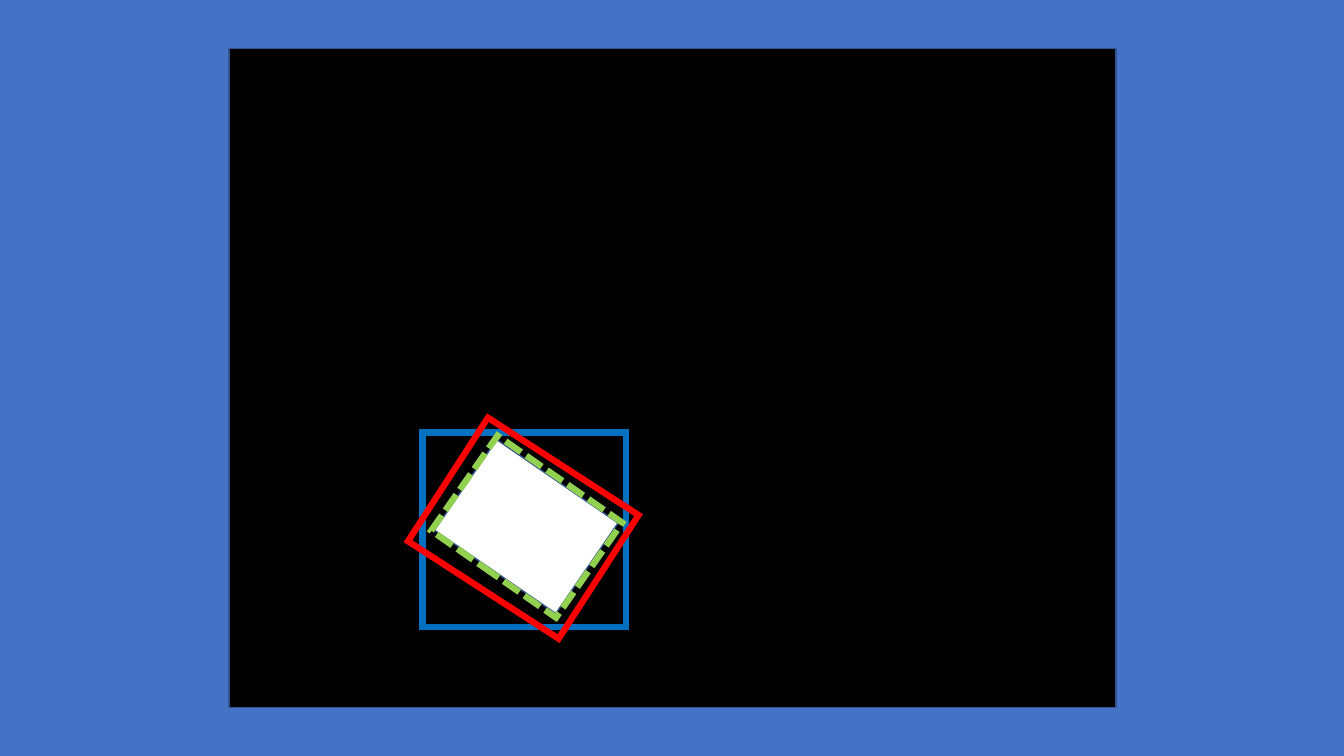
from dataclasses import dataclass

from lxml.etree import SubElement
from pptx import Presentation
from pptx.dml.color import RGBColor
from pptx.enum.dml import MSO_LINE
from pptx.enum.shapes import MSO_SHAPE
from pptx.oxml.ns import qn
from pptx.util import Inches, Pt


@dataclass(frozen=True)
class Theme:
    backdrop: str = "4472C4"
    canvas: str = "000000"
    target: str = "FFFFFF"
    edge: str = "325491"
    upright: str = "0070C0"
    rotated: str = "FF0000"
    fitted: str = "92D050"
    thin: float = 1
    thick: float = 4.5


class SlideBuilder:
    def __init__(self, slide, theme):
        self.slide = slide
        self.theme = theme

    def background(self, color):
        fill = self.slide.background.fill
        fill.solid()
        fill.fore_color.rgb = RGBColor.from_string(color)

    def rectangle(self, left, top, width, height, line, weight,
                  fill=None, rotation=0, dash=None):
        """Draw a sharp-cornered rectangle, hollow when fill is None."""
        lengths = [Inches(value) for value in (left, top, width, height)]
        box = self.slide.shapes.add_shape(MSO_SHAPE.RECTANGLE, *lengths)
        box.shadow.inherit = False
        box.rotation = rotation
        if fill:
            box.fill.solid()
            box.fill.fore_color.rgb = RGBColor.from_string(fill)
        else:
            box.fill.background()
        box.line.color.rgb = RGBColor.from_string(line)
        box.line.width = Pt(weight)
        if dash:
            box.line.dash_style = dash
        SubElement(box.get_or_add_ln(), qn("a:miter"), lim="800000")
        return box

    def filled(self, *bounds, fill, rotation=0):
        return self.rectangle(*bounds, self.theme.edge, self.theme.thin,
                              fill=fill, rotation=rotation)

    def frame(self, *bounds, color, rotation=0, dash=None):
        return self.rectangle(*bounds, color, self.theme.thick,
                              rotation=rotation, dash=dash)


def main():
    theme = Theme()
    deck = Presentation()
    deck.slide_width, deck.slide_height = Inches(13.33), Inches(7.5)
    page = SlideBuilder(deck.slides.add_slide(deck.slide_layouts[6]), theme)

    page.background(theme.backdrop)
    page.filled(2.27, 0.48, 8.8, 6.54, fill=theme.canvas)
    page.filled(4.49, 4.68, 1.46, 1.09, fill=theme.target, rotation=34.5)
    page.frame(4.19, 4.29, 2.02, 1.93, color=theme.upright)
    page.frame(4.3, 4.51, 1.78, 1.46, color=theme.rotated, rotation=32.9)
    page.frame(4.47, 4.65, 1.51, 1.15, color=theme.fitted, rotation=34.9,
               dash=MSO_LINE.SQUARE_DOT)

    deck.save("out.pptx")


if __name__ == "__main__":
    main()
